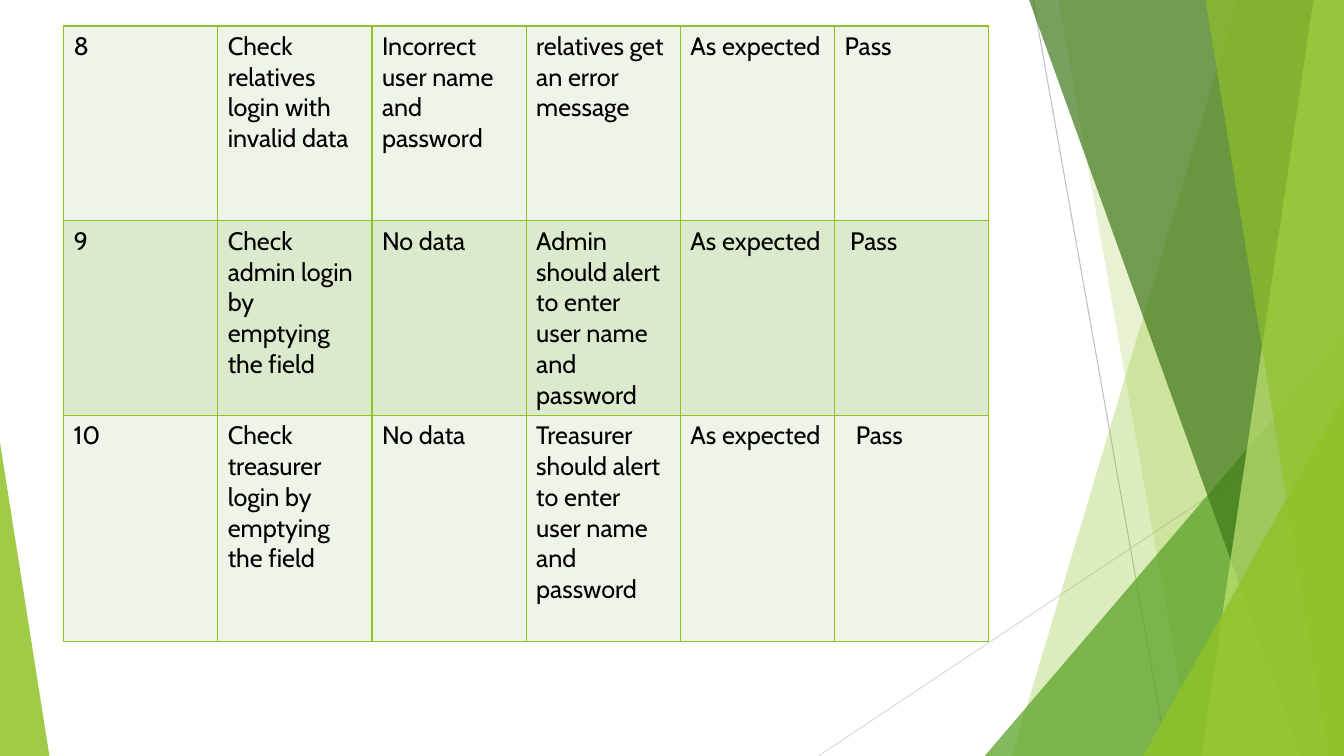
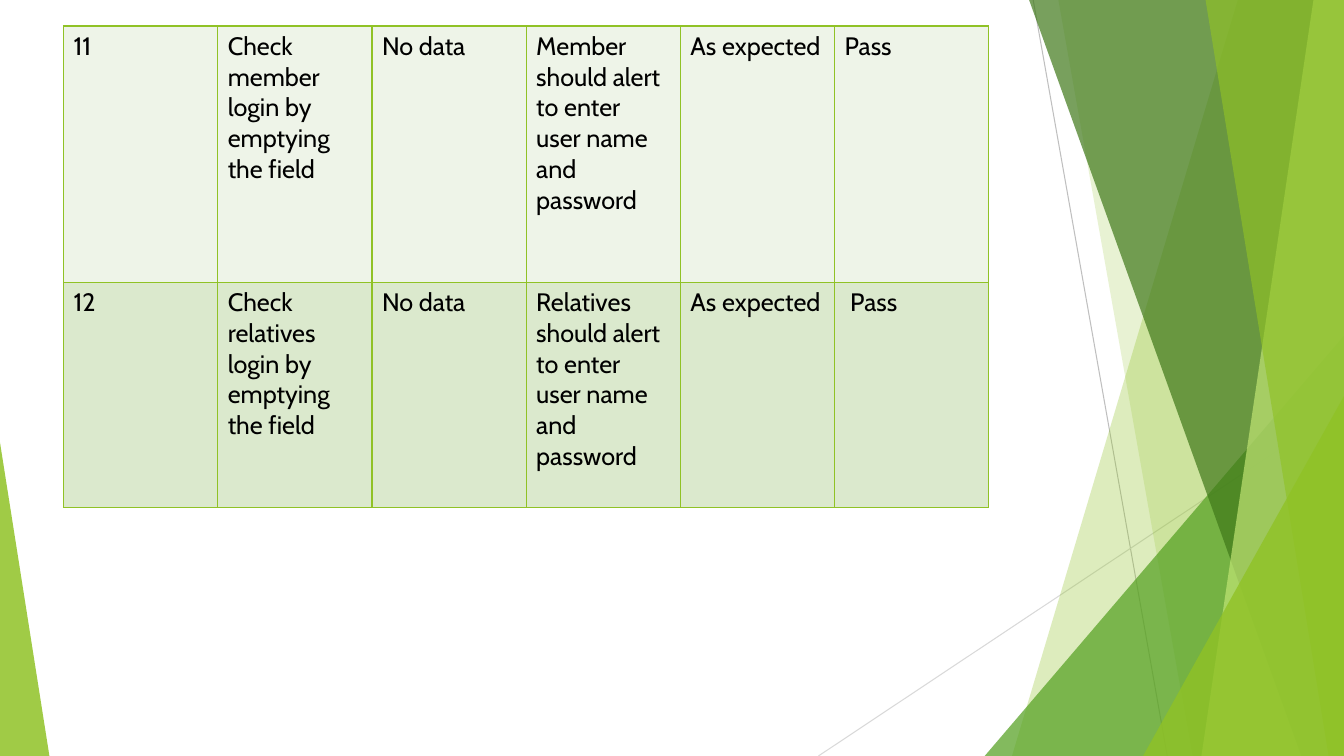
from lxml.etree import SubElement
from pptx import Presentation
from pptx.dml.color import RGBColor
from pptx.enum.shapes import MSO_CONNECTOR, MSO_SHAPE
from pptx.oxml.ns import qn
from pptx.util import Pt

WIDE, HIGH = 960, 540
BLACK = RGBColor(0x00, 0x00, 0x00)
LIME = RGBColor(0x90, 0xC2, 0x26)
PALE_LIME = RGBColor(0xC0, 0xE4, 0x74)
GREEN = RGBColor(0x54, 0xA0, 0x21)
FOREST = RGBColor(0x3F, 0x78, 0x19)
GRAY = RGBColor(0xBF, 0xBF, 0xBF)
SILVER = RGBColor(0xD9, 0xD9, 0xD9)
BANDS = (RGBColor(0xEE, 0xF4, 0xE8), RGBColor(0xDB, 0xE9, 0xCD))


def write(frame, text, font="Cabin", size=18, color=BLACK):
    frame.word_wrap = True
    for i, line in enumerate(text.split("\n")):
        para = frame.add_paragraph() if i else frame.paragraphs[0]
        run = para.add_run()
        run.text = line
        run.font.name = font
        run.font.size = Pt(size)
        run.font.color.rgb = color


class Deck:
    left, top, col = 45.36, 18.6, 110.16
    margin, space = 7.2, 4

    def __init__(self):
        self.show = Presentation()
        self.show.slide_width = Pt(WIDE)
        self.show.slide_height = Pt(HIGH)
        self.slide = None

    def start(self):
        self.slide = self.show.slides.add_slide(self.show.slide_layouts[6])
        self.decor()

    def decor(self):
        self.line(738, 0, 833.8, HIGH, GRAY)
        self.line(WIDE, 290.2, 584.6, HIGH, SILVER)
        self.wedge(884.2, 722.9, LIME, 30)
        self.wedge(756, 851.8, LIME, 20)
        self.peak(703.4, 239.8, 256.6, GREEN, 72)
        self.wedge(735.1, 929.5, FOREST, 70)
        self.wedge(938.2, 858.2, PALE_LIME, 70)
        self.wedge(861.1, 949, LIME, 65)
        self.peak(816.5, 283, 143.5, LIME, 80)
        self.peak(0, 316.1, 35.3, LIME, 85, tip=0)

    def line(self, x1, y1, x2, y2, color):
        link = self.slide.shapes.add_connector(
            MSO_CONNECTOR.STRAIGHT, Pt(x1), Pt(y1), Pt(x2), Pt(y2))
        link.line.color.rgb = color
        link.line.width = Pt(0.75)
        SubElement(link._element.spPr, qn("a:effectLst"))

    def wedge(self, top, base, color, alpha):
        pen = self.slide.shapes.build_freeform(Pt(top), Pt(0))
        pen.add_line_segments(
            [(Pt(WIDE), Pt(0)), (Pt(WIDE), Pt(HIGH)), (Pt(base), Pt(HIGH))])
        self.tint(pen.convert_to_shape(), color, alpha)

    def peak(self, x, y, wide, color, alpha, tip=1):
        shape = self.slide.shapes.add_shape(
            MSO_SHAPE.ISOSCELES_TRIANGLE, Pt(x), Pt(y), Pt(wide), Pt(HIGH - y))
        shape.adjustments[0] = tip
        self.tint(shape, color, alpha)

    def tint(self, shape, color, alpha):
        shape.shadow.inherit = False
        shape.line.fill.background()
        shape.fill.solid()
        shape.fill.fore_color.rgb = color
        node = shape._element.spPr.find(".//" + qn("a:srgbClr"))
        SubElement(node, qn("a:alpha"), val=str(alpha * 1000))

    def border(self, cell):
        props = cell._tc.get_or_add_tcPr()
        for side in ("lnL", "lnR", "lnT", "lnB"):
            edge = SubElement(props, qn("a:" + side), w=str(Pt(1)))
            fill = SubElement(edge, qn("a:solidFill"))
            SubElement(fill, qn("a:srgbClr"), val=str(LIME))

    def table(self, rows, highs):
        count = len(rows[0])
        grid = self.slide.shapes.add_table(
            len(rows), count, Pt(self.left), Pt(self.top),
            Pt(self.col * count), Pt(sum(highs))).table
        grid.first_row = grid.horz_banding = False
        for col in grid.columns:
            col.width = Pt(self.col)
        for r, (row, high) in enumerate(zip(rows, highs)):
            grid.rows[r].height = Pt(high)
            for c, text in enumerate(row):
                cell = grid.cell(r, c)
                self.border(cell)
                cell.fill.solid()
                cell.fill.fore_color.rgb = BANDS[r % 2]
                write(cell.text_frame, text)
            cell.margin_left = Pt(self.margin + r * self.space)


def main():
    deck = Deck()
    done = ("As expected", "Pass")
    alert = "should alert to enter user name and password"
    tests = [
        ([
            ("8", "Check relatives login with invalid data",
             "Incorrect user name and password",
             "relatives get an error message", *done),
            ("9", "Check admin login by emptying the field",
             "No data", f"Admin {alert}", *done),
            ("10", "Check treasurer login by emptying the field",
             "No data", f"Treasurer {alert}", *done),
        ], (139.2, 139, 161.2)),
        ([
            ("11", "Check member login by emptying the field",
             "No data", f"Member {alert}", *done),
            ("12", "Check relatives login by emptying the field",
             "No data", f"Relatives\n{alert}", *done),
        ], (183, 161.2)),
    ]
    for rows, highs in tests:
        deck.start()
        deck.table(rows, highs)
    deck.show.save("out.pptx")


if __name__ == "__main__":
    main()
